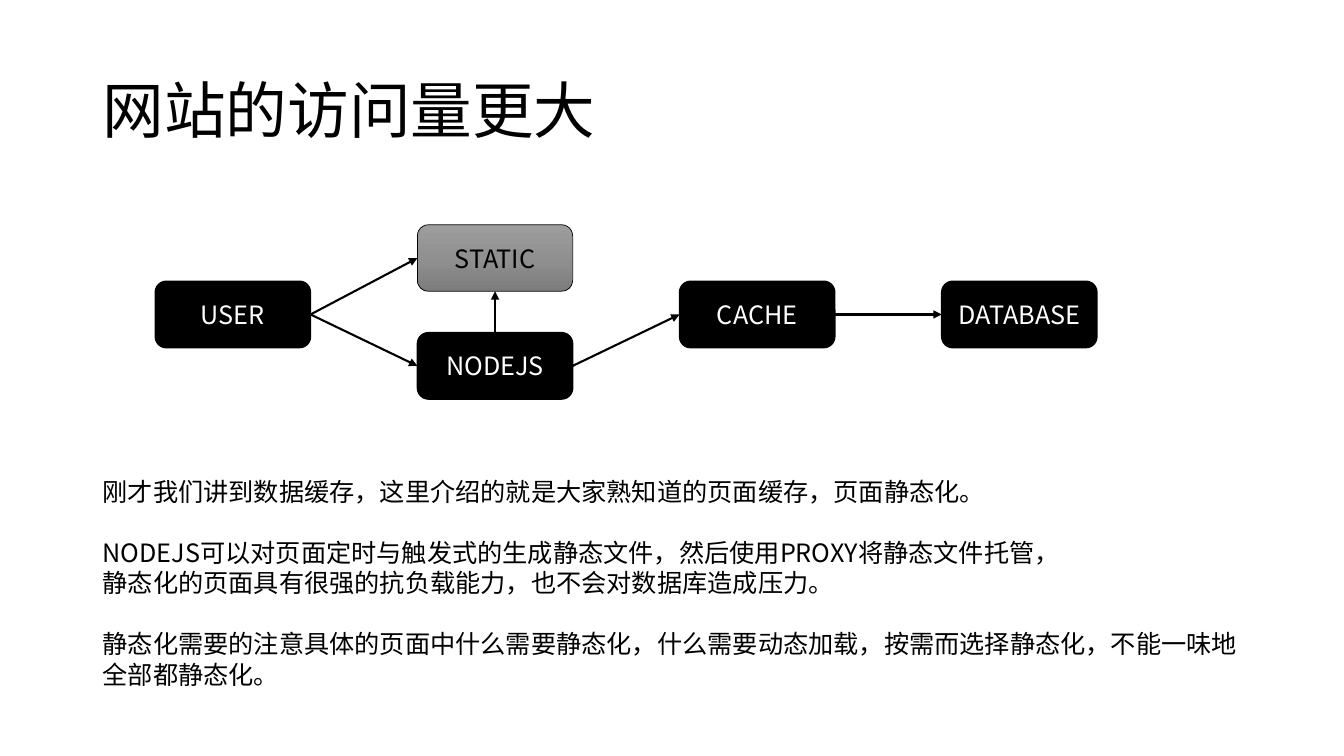
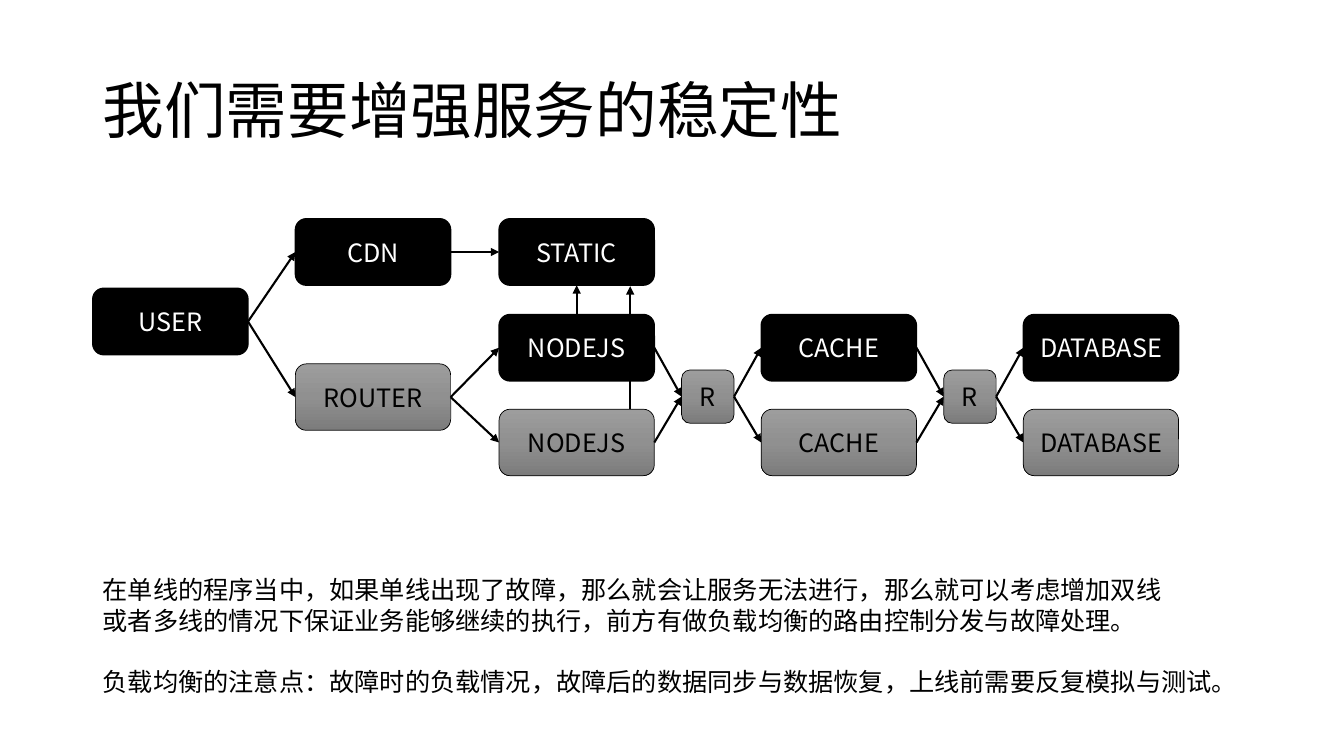
"""Build two slides on scaling a website: static pages and redundant services."""
from copy import deepcopy

from lxml import etree
from pptx import Presentation
from pptx import util as u
from pptx.dml.color import RGBColor
from pptx.enum import shapes, text
from pptx.oxml.ns import qn

BLACK = RGBColor(0x00, 0x00, 0x00)
WHITE = RGBColor(0xFF, 0xFF, 0xFF)
GREYS = [(0, RGBColor(0x9D, 0x9D, 0x9D)),
         (0.5, RGBColor(0x90, 0x90, 0x90)),
         (1, RGBColor(0x7C, 0x7C, 0x7C))]
FONT = "Noto Sans CJK SC"
BODY_LINE = u.Pt(21.8)
BOX_SIZE = (1.54, 0.66)
ROUTER_SIZE = (0.52, 0.53)
TOP, RIGHT, BOTTOM, LEFT = 0, 3, 2, 1

FIRST_COLUMNS = [1.54 + 2.6 * i for i in range(4)]
SECOND_COLUMNS = [4.95 + 2.6 * i for i in range(3)]
ROUTERS = [x + BOX_SIZE[0] + 0.27 for x in SECOND_COLUMNS[:2]]
CDN_ROW, OLD_ROW, NEW_ROW = 2.17, 3.12, 4.06

SLIDES = [
    {
        "title": "网站的访问量更大",
        "boxes": {
            "user": ("USER", FIRST_COLUMNS[0], 2.79, False),
            "static": ("STATIC", FIRST_COLUMNS[1], 2.23, True),
            "node": ("NODEJS", FIRST_COLUMNS[1], 3.3, False),
            "cache": ("CACHE", FIRST_COLUMNS[2], 2.79, False),
            "database": ("DATABASE", FIRST_COLUMNS[3], 2.79, False),
        },
        "flows": ["user static", "user node", "node cache", "cache database"],
        "extra_lines": [],
        "body_top": 4.67,
        "body_height": 2.22,
        "body": [
            ["刚才我们讲到数据缓存，这里介绍的就是大家熟知道的页面缓存，页面静态化。"],
            ["NODEJS可以对页面定时与触发式的生成静态文件，然后使用PROXY将静态文件托管，",
             "静态化的页面具有很强的抗负载能力，也不会对数据库造成压力。"],
            ["静态化需要的注意具体的页面中什么需要静态化，什么需要动态加载，按需而选择静态化，不能一味地",
             "全部都静态化。"],
        ],
    },
    {
        "title": "我们需要增强服务的稳定性",
        "boxes": {
            "user": ("USER", 0.92, 2.86, False),
            "cdn": ("CDN", 2.93, CDN_ROW, False),
            "router": ("ROUTER", 2.93, 3.61, True),
            "static": ("STATIC", SECOND_COLUMNS[0], CDN_ROW, False),
            "node": ("NODEJS", SECOND_COLUMNS[0], OLD_ROW, False),
            "node2": ("NODEJS", SECOND_COLUMNS[0], NEW_ROW, True),
            "r1": ("R", ROUTERS[0], 3.67, True),
            "cache": ("CACHE", SECOND_COLUMNS[1], OLD_ROW, False),
            "cache2": ("CACHE", SECOND_COLUMNS[1], NEW_ROW, True),
            "r2": ("R", ROUTERS[1], 3.67, True),
            "database": ("DATABASE", SECOND_COLUMNS[2], OLD_ROW, False),
            "database2": ("DATABASE", SECOND_COLUMNS[2], NEW_ROW, True),
        },
        "flows": ["user cdn", "user router", "cdn static",
                  "router node", "router node2", "node r1", "node2 r1",
                  "r1 cache", "r1 cache2", "cache r2", "cache2 r2",
                  "r2 database", "r2 database2"],
        "extra_lines": [(6.25, NEW_ROW, 6.25, 2.84)],
        "body_top": 5.65,
        "body_height": 1.31,
        "body": [
            ["在单线的程序当中，如果单线出现了故障，那么就会让服务无法进行，那么就可以考虑增加双线",
             "或者多线的情况下保证业务能够继续的执行，前方有做负载均衡的路由控制分发与故障处理。"],
            ["负载均衡的注意点：故障时的负载情况，故障后的数据同步与数据恢复，上线前需要反复模拟与测试。"],
        ],
    },
]


def add_run(paragraph, words, size, color):
    run = paragraph.add_run()
    run.text = words
    run.font.name = FONT
    run.font.size = u.Pt(size)
    run.font.color.rgb = color
    east_asian = etree.SubElement(run.font._element, qn("a:ea"))
    east_asian.set("typeface", FONT)


def add_arrow(slide, x1, y1, x2, y2):
    arrow = slide.shapes.add_connector(
        shapes.MSO_CONNECTOR.STRAIGHT,
        u.Inches(x1), u.Inches(y1), u.Inches(x2), u.Inches(y2))
    arrow.line.color.rgb = BLACK
    arrow.line.width = u.Pt(1.5)
    line = arrow.line._get_or_add_ln()
    etree.SubElement(line, qn("a:tailEnd")).set("type", "triangle")
    etree.SubElement(arrow._element.spPr, qn("a:effectLst"))
    return arrow


presentation = Presentation()
presentation.slide_width = u.Inches(13.33)
presentation.slide_height = u.Inches(7.5)

for content in SLIDES:
    slide = presentation.slides.add_slide(presentation.slide_layouts[6])

    title = slide.shapes.add_textbox(
        u.Inches(0.92), u.Inches(0.4), u.Inches(11.5), u.Inches(1.45)).text_frame
    title.word_wrap = True
    title.vertical_anchor = text.MSO_ANCHOR.MIDDLE
    title.paragraphs[0].line_spacing = 0.9
    add_run(title.paragraphs[0], content["title"], 44, BLACK)

    boxes = {}
    for name, (label, left, top, is_new) in content["boxes"].items():
        width, height = ROUTER_SIZE if label == "R" else BOX_SIZE
        shape = slide.shapes.add_shape(
            shapes.MSO_SHAPE.ROUNDED_RECTANGLE,
            u.Inches(left), u.Inches(top), u.Inches(width), u.Inches(height))
        shape.shadow.inherit = False
        shape.line.color.rgb = BLACK
        shape.line.width = u.Pt(0.5 if is_new else 1)
        if is_new:
            shape.fill.gradient()
            shape.fill.gradient_angle = 270
            stop_list = shape._element.spPr.find(".//" + qn("a:gsLst"))
            stop_list.append(deepcopy(stop_list[0]))
            for stop, (position, color) in zip(shape.fill.gradient_stops, GREYS):
                stop.position = position
                stop.color.rgb = color
        else:
            shape.fill.solid()
            shape.fill.fore_color.rgb = BLACK
        frame = shape.text_frame
        frame.vertical_anchor = text.MSO_ANCHOR.MIDDLE
        frame.paragraphs[0].alignment = text.PP_ALIGN.CENTER
        add_run(frame.paragraphs[0], label, 18, BLACK if is_new else WHITE)
        boxes[name] = shape

    joins = [(*flow.split(), RIGHT, LEFT) for flow in content["flows"]]
    joins.append(("node", "static", TOP, BOTTOM))
    for source, target, source_side, target_side in joins:
        arrow = add_arrow(slide, 0, 0, 1, 1)
        arrow.begin_connect(boxes[source], source_side)
        arrow.end_connect(boxes[target], target_side)
    for ends in content["extra_lines"]:
        add_arrow(slide, *ends)

    body = slide.shapes.add_textbox(
        u.Inches(0.92), u.Inches(content["body_top"]),
        u.Inches(11.56), u.Inches(content["body_height"])).text_frame
    body.word_wrap = True
    paragraph = body.paragraphs[0]
    for block_number, block in enumerate(content["body"]):
        for line_number, words in enumerate(block):
            if block_number or line_number:
                paragraph = body.add_paragraph()
            if block_number and not line_number:
                paragraph.space_before = BODY_LINE
            paragraph.line_spacing = BODY_LINE
            add_run(paragraph, words, 18, BLACK)

presentation.save("out.pptx")
